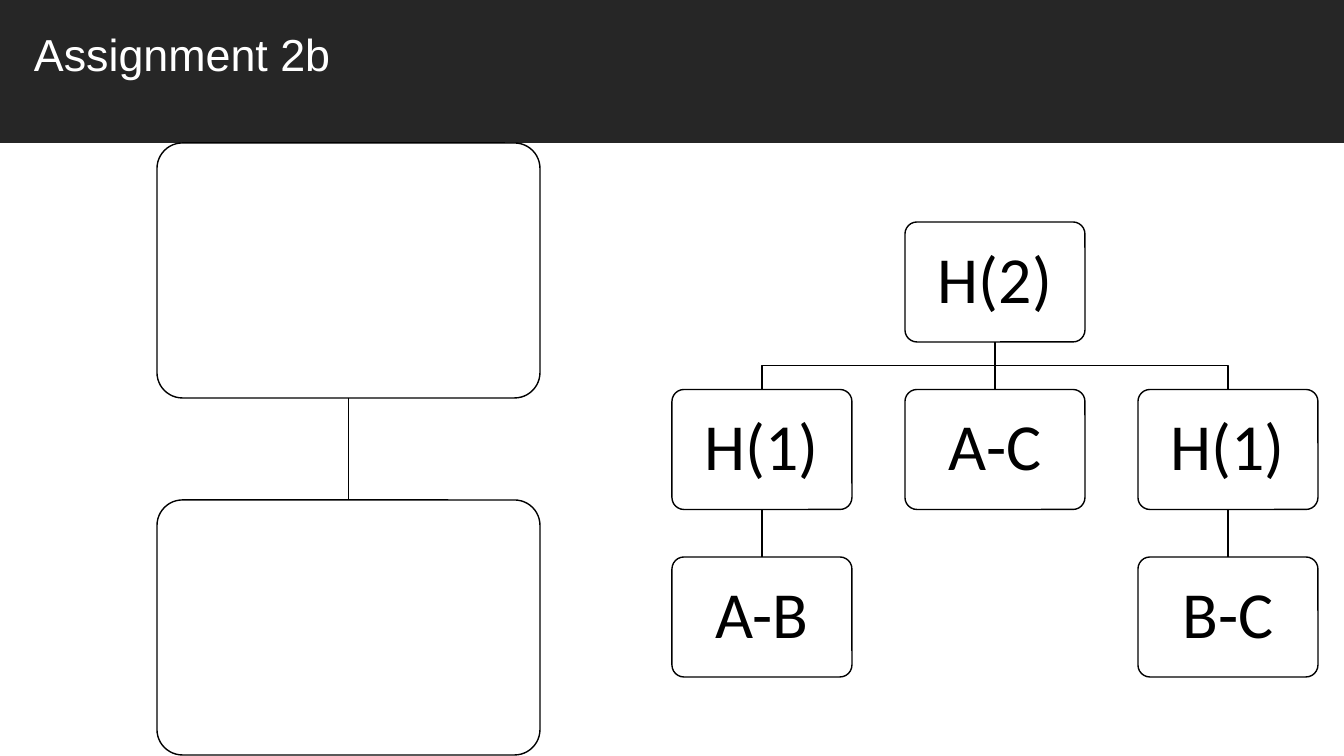
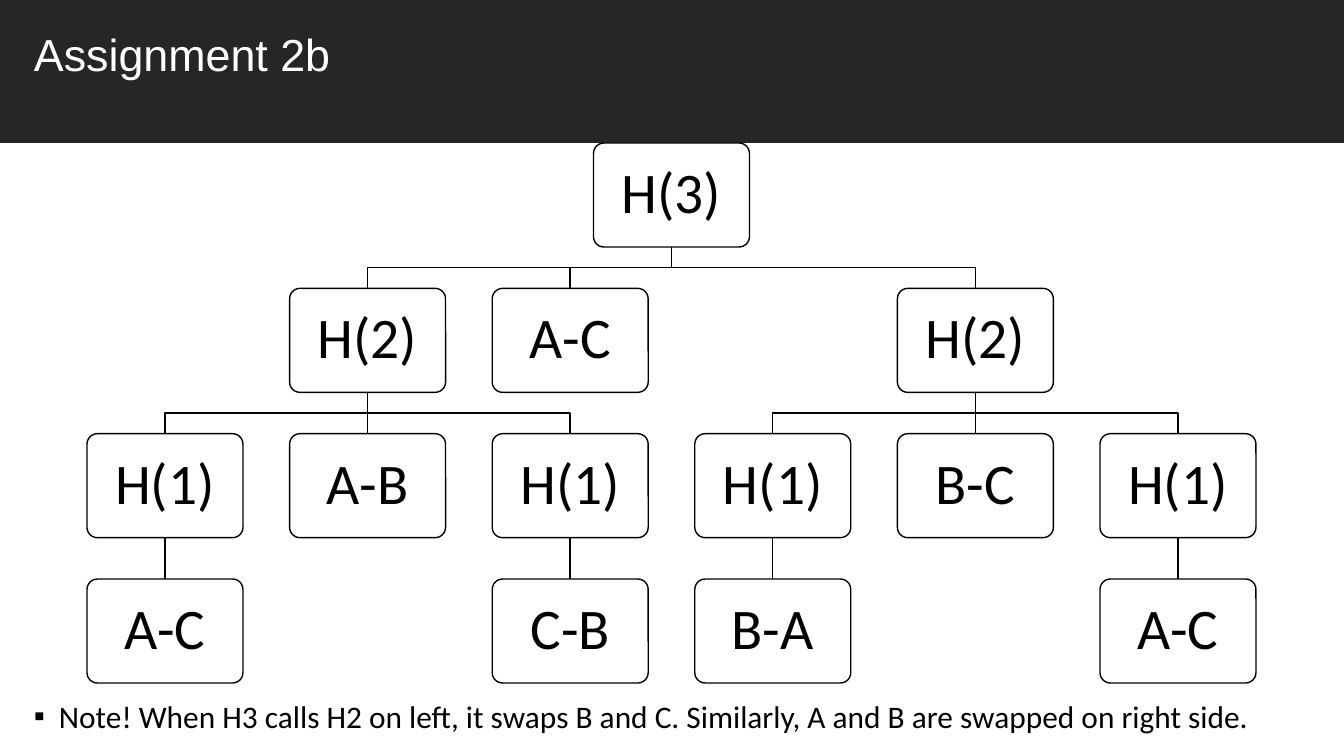
from lxml import etree
from pptx import Presentation
from pptx import util as u
from pptx.dml.color import RGBColor
from pptx.enum import shapes, text
from pptx.oxml.ns import qn

PX = u.Inches(1) / 100.8  # EMU in one px

BLACK = RGBColor(0x00, 0x00, 0x00)
WHITE = RGBColor(0xFF, 0xFF, 0xFF)
BAND = RGBColor(0x26, 0x26, 0x26)
TITLE_FONT, BODY_FONT = "Arial", "Calibri"

# Call trees: (label, column, children)
H2_TREE = ("H(2)", 1, [
    ("H(1)", 0, [("A-B", 0, [])]),
    ("A-C", 1, []),
    ("H(1)", 2, [("B-C", 2, [])]),
])
H3_TREE = ("H(3)", 2.5, [
    ("H(2)", 1, [
        ("H(1)", 0, [("A-C", 0, [])]),
        ("A-B", 1, []),
        ("H(1)", 2, [("C-B", 2, [])]),
    ]),
    ("A-C", 2, []),
    ("H(2)", 4, [
        ("H(1)", 3, [("B-A", 3, [])]),
        ("B-C", 4, []),
        ("H(1)", 5, [("A-C", 5, [])]),
    ]),
])


def emu(px):
    return u.Emu(round(px * PX))


class Deck:
    """Holds the presentation, the shared style and the current slide."""

    def __init__(self):
        self.prs = Presentation()
        self.prs.slide_width, self.prs.slide_height = emu(1344), emu(756)

    def slide(self, title):
        self.s = self.prs.slides.add_slide(self.prs.slide_layouts[6])
        self.shape(shapes.MSO_SHAPE.RECTANGLE, -1, -1, 1345, 144, BAND)
        self.textbox(24, 22, 1294, 65, title, TITLE_FONT, 32, WHITE)

    def shape(self, kind, x, y, w, h, fill):
        sp = self.s.shapes.add_shape(kind, emu(x), emu(y), emu(w), emu(h))
        sp.shadow.inherit = False
        sp.fill.solid()
        sp.fill.fore_color.rgb = fill
        sp.line.fill.background()
        return sp

    def outline(self, sp):
        sp.line.color.rgb = BLACK
        sp.line.width = u.Pt(1)

    def run(self, p, words, font, size, color):
        r = p.add_run()
        r.text = words
        r.font.name, r.font.size, r.font.color.rgb = font, u.Pt(size), color

    def textbox(self, x, y, w, h, words, font, size, color):
        tf = self.s.shapes.add_textbox(emu(x), emu(y), emu(w), emu(h)).text_frame
        tf.word_wrap = True
        p = tf.paragraphs[0]
        self.run(p, words, font, size, color)
        return p

    def bullet(self, x, y, w, h, words, size):
        p = self.textbox(x, y, w, h, words, BODY_FONT, size, BLACK)
        pPr = p._p.get_or_add_pPr()
        pPr.set("marL", str(emu(25)))
        pPr.set("indent", str(-emu(25)))
        etree.SubElement(pPr, qn("a:buFont")).set("typeface", TITLE_FONT)
        etree.SubElement(pPr, qn("a:buChar")).set("char", "▪")

    def box(self, x, y, w, h):
        sp = self.shape(shapes.MSO_SHAPE.ROUNDED_RECTANGLE, x, y, w, h, WHITE)
        sp.adjustments[0] = 0.1
        self.outline(sp)
        return sp

    def node(self, x, y, w, h, label, size, inset):
        sp = self.box(x, y, w, h)
        tf = sp.text_frame
        tf.word_wrap = True
        tf.vertical_anchor = text.MSO_ANCHOR.MIDDLE
        tf.margin_left = tf.margin_right = emu(inset)
        tf.margin_top = tf.margin_bottom = emu(inset)
        p = tf.paragraphs[0]
        p.alignment = text.PP_ALIGN.CENTER
        p.line_spacing = 0.9
        self.run(p, label, BODY_FONT, size, BLACK)
        return sp

    def link(self, parent, child):
        """Line from the foot of parent to the head of child."""
        x1, y1 = parent.left + parent.width // 2, parent.top + parent.height
        x2, y2 = child.left + child.width // 2, child.top
        if x1 == x2:
            line = self.s.shapes.add_connector(
                shapes.MSO_CONNECTOR.STRAIGHT, x1, y1, x2, y2)
            line.begin_connect(parent, 2)
            line.end_connect(child, 0)
            etree.SubElement(line._element.spPr, qn("a:effectLst"))
        else:
            bend = (y1 + y2) // 2
            fb = self.s.shapes.build_freeform(x1, y1)
            fb.add_line_segments([(x1, bend), (x2, bend), (x2, y2)], close=False)
            line = fb.convert_to_shape()
            line.fill.background()
            line.shadow.inherit = False
        self.outline(line)

    def tree(self, root, area, grid, box_size, size, inset):
        """Spread the nodes evenly over area = left, top, right, bottom."""
        left, top, right, bottom = area
        cols, rows = grid
        w, h = box_size
        dx = (right - left - w) / (cols - 1)
        dy = (bottom - top - h) / (rows - 1)

        def grow(branch, row):
            label, col, children = branch
            sp = self.node(left + col * dx, top + row * dy, w, h,
                           label, size, inset)
            for child in children:
                self.link(sp, grow(child, row + 1))
            return sp

        grow(root, 0)


def main():
    deck = Deck()

    # Slide 1: two empty boxes and the tree for two discs
    deck.slide("Assignment 2b")
    upper, lower = [deck.box(157, y, 383, 255) for y in (143, 500)]
    deck.link(upper, lower)
    deck.tree(H2_TREE, (672, 222, 1318, 677), (3, 3), (180, 120), 47, 23)

    # Slide 2: the tree for three discs and a note
    deck.slide("Assignment 2b")
    deck.tree(H3_TREE, (87, 143, 1256, 683), (6, 4), (156, 104), 41, 20)
    deck.bullet(24, 692, 1294, 64,
                "Note! When H3 calls H2 on left, it swaps B and C. "
                "Similarly, A and B are swapped on right side.", 22.4)

    deck.prs.save("out.pptx")


if __name__ == "__main__":
    main()
